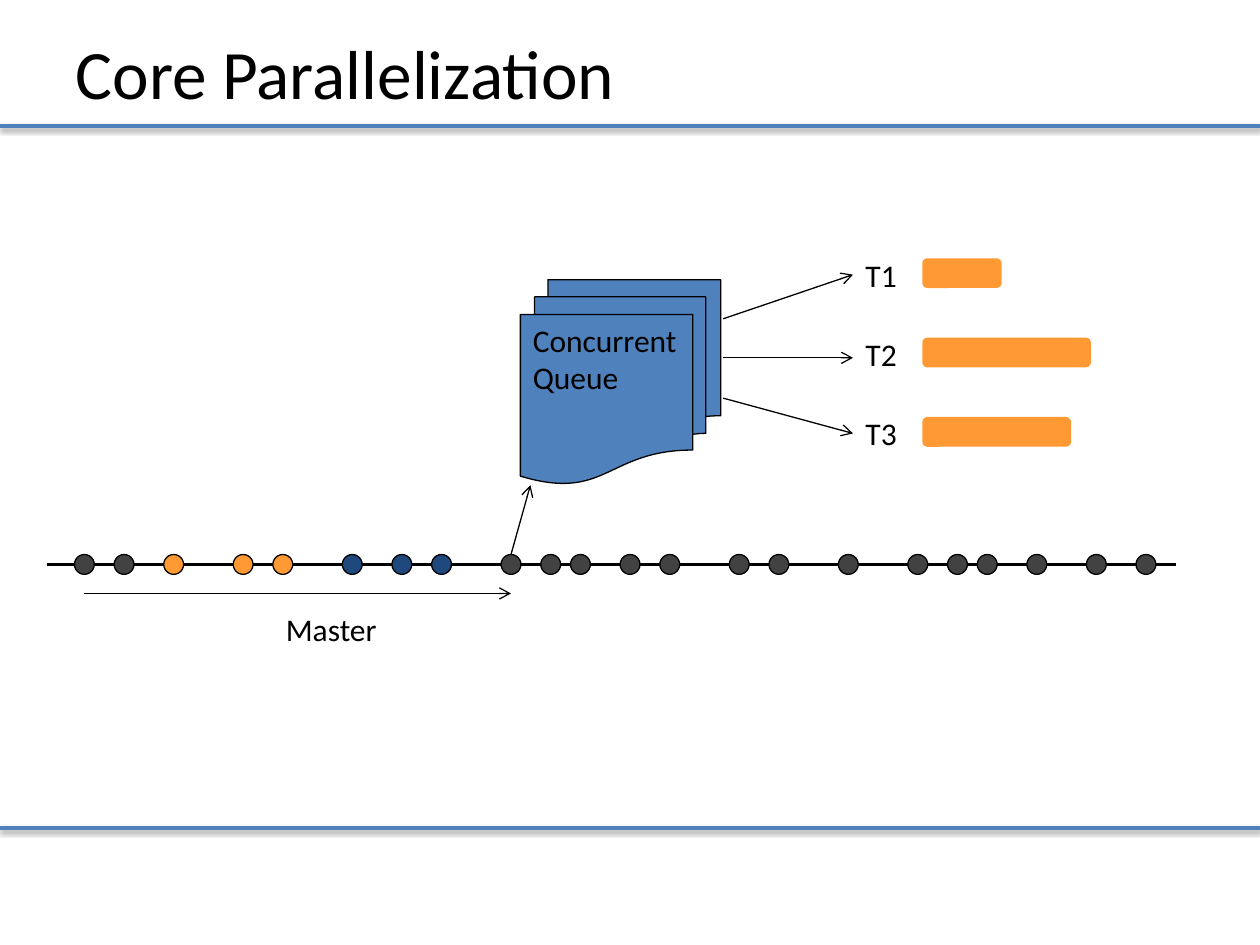
from dataclasses import dataclass

from lxml.etree import SubElement
from pptx import Presentation
from pptx.dml.color import RGBColor
from pptx.enum.shapes import MSO_CONNECTOR, MSO_SHAPE
from pptx.enum.text import MSO_ANCHOR, PP_ALIGN
from pptx.oxml.ns import qn
from pptx.util import Emu, Inches, Pt

FONT = "Calibri"
BLACK, BLUE, NAVY = "000000", "4F81BD", "1F497D"
ORANGE, GRAY = "FF9933", "434243"

UNIT = 2 / 25.4  # grid step of 2 mm, in inches
AXIS_Y = 4.48
FIRST_EVENT_X = 0.67
EVENT_SIZE = 2 * UNIT
THREAD_TOP, THREAD_PITCH = 1.98, 8 * UNIT


@dataclass(frozen=True)
class EventGroup:
    color: str
    columns: tuple[int, ...]


@dataclass(frozen=True)
class Thread:
    name: str
    task_columns: float
    arrow_start_y: float
    arrow_end_y: float


EVENTS = [
    EventGroup(GRAY, (0, 4)),
    EventGroup(ORANGE, (9, 16, 20)),
    EventGroup(NAVY, (27, 32, 36)),
    EventGroup(GRAY, (43, 47, 50, 55, 59, 66, 70, 77, 84, 88, 91, 96, 102, 107)),
]
CURRENT_EVENT = 43
THREADS = [
    Thread("T1", 8, 2.53, 2.18),
    Thread("T2", 17, 2.84, 2.84),
    Thread("T3", 15, 3.16, 3.44),
]


def rgb(color: str) -> RGBColor:
    return RGBColor.from_string(color)


def event_x(column: int) -> float:
    return FIRST_EVENT_X + column * UNIT


def write(frame, lines: list[str], size: float = 18) -> None:
    frame.text = "\n".join(lines)
    for paragraph in frame.paragraphs:
        paragraph.alignment = PP_ALIGN.LEFT
        paragraph.font.name = FONT
        paragraph.font.size = Pt(size)
        paragraph.font.color.rgb = rgb(BLACK)


def add_line(slide, start: tuple[float, float], end: tuple[float, float],
             color: str = BLACK, width: float = 0.75,
             arrow: bool = False, shadow: bool = False) -> None:
    line = slide.shapes.add_connector(
        MSO_CONNECTOR.STRAIGHT, *(Inches(value) for value in (*start, *end)))
    line.line.color.rgb = rgb(color)
    line.line.width = Pt(width)
    properties = line._element.spPr
    if arrow:
        SubElement(properties.find(qn("a:ln")), qn("a:tailEnd"), type="arrow")
    effects = SubElement(properties, qn("a:effectLst"))
    if shadow:
        outer = SubElement(effects, qn("a:outerShdw"), blurRad=str(Pt(3.1)),
                           dist=str(Pt(1.6)), dir="5400000", rotWithShape="0")
        tint = SubElement(outer, qn("a:srgbClr"), val=BLACK)
        SubElement(tint, qn("a:alpha"), val="38000")


def add_block(slide, kind: MSO_SHAPE, left: float, top: float, width: float,
              height: float, fill: str, outlined: bool = True):
    block = slide.shapes.add_shape(
        kind, Inches(left), Inches(top), Inches(width), Inches(height))
    block.shadow.inherit = False
    block.fill.solid()
    block.fill.fore_color.rgb = rgb(fill)
    if outlined:
        block.line.color.rgb = rgb(BLACK)
        block.line.width = Pt(0.75)
    else:
        block.line.fill.background()
    return block


def add_label(slide, text: str, left: float, top: float, width: float) -> None:
    label = slide.shapes.add_textbox(
        Inches(left), Inches(top), Inches(width), Inches(0.4))
    label.text_frame.word_wrap = True
    write(label.text_frame, [text])


def add_title(slide, text: str) -> None:
    title = slide.shapes.title
    title.left, title.top = Inches(0.5), Inches(0.17)
    title.width, title.height = Inches(9), Inches(0.8)
    title.text_frame.vertical_anchor = MSO_ANCHOR.MIDDLE
    write(title.text_frame, [text], 39.6)


def add_timeline(slide) -> None:
    add_line(slide, (0.37, AXIS_Y), (9.33, AXIS_Y), width=2.25)
    for group in EVENTS:
        for column in group.columns:
            add_block(slide, MSO_SHAPE.OVAL, event_x(column) - EVENT_SIZE / 2,
                      AXIS_Y - EVENT_SIZE / 2, EVENT_SIZE, EVENT_SIZE, group.color)
    add_line(slide, (event_x(0), 4.71), (event_x(CURRENT_EVENT), 4.71), arrow=True)
    add_label(slide, "Master", 2.17, 4.79, 1.18)


def add_queue(slide) -> None:
    queue = add_block(slide, MSO_SHAPE.FLOWCHART_MULTIDOCUMENT,
                      4.13, 2.22, 1.59, 1.62, BLUE)
    queue.text_frame.word_wrap = False
    queue.text_frame.vertical_anchor = MSO_ANCHOR.TOP
    write(queue.text_frame, ["Concurrent", "Queue"])
    add_line(slide, (event_x(CURRENT_EVENT), AXIS_Y - EVENT_SIZE / 2),
             (4.21, 3.85), arrow=True)


def add_threads(slide) -> None:
    for row, thread in enumerate(THREADS):
        top = THREAD_TOP + row * THREAD_PITCH
        add_label(slide, thread.name, 6.77, top, 0.55)
        add_block(slide, MSO_SHAPE.ROUNDED_RECTANGLE, 7.32, top + 0.07,
                  thread.task_columns * UNIT, 3 * UNIT, ORANGE, outlined=False)
        add_line(slide, (5.74, thread.arrow_start_y),
                 (6.77, thread.arrow_end_y), arrow=True)


def main() -> None:
    deck = Presentation()
    deck.slide_width, deck.slide_height = Inches(10), Inches(7.5)
    slide = deck.slides.add_slide(deck.slide_layouts[5])

    # Title between the frame rules
    for rule_y in (1, 6.57):
        add_line(slide, (0, rule_y), (10, rule_y), BLUE, 2, shadow=True)
    add_title(slide, "Core Parallelization")

    # Master timeline feeds the queue, which feeds the threads
    add_timeline(slide)
    add_queue(slide)
    add_threads(slide)
    deck.save("out.pptx")


if __name__ == "__main__":
    main()
